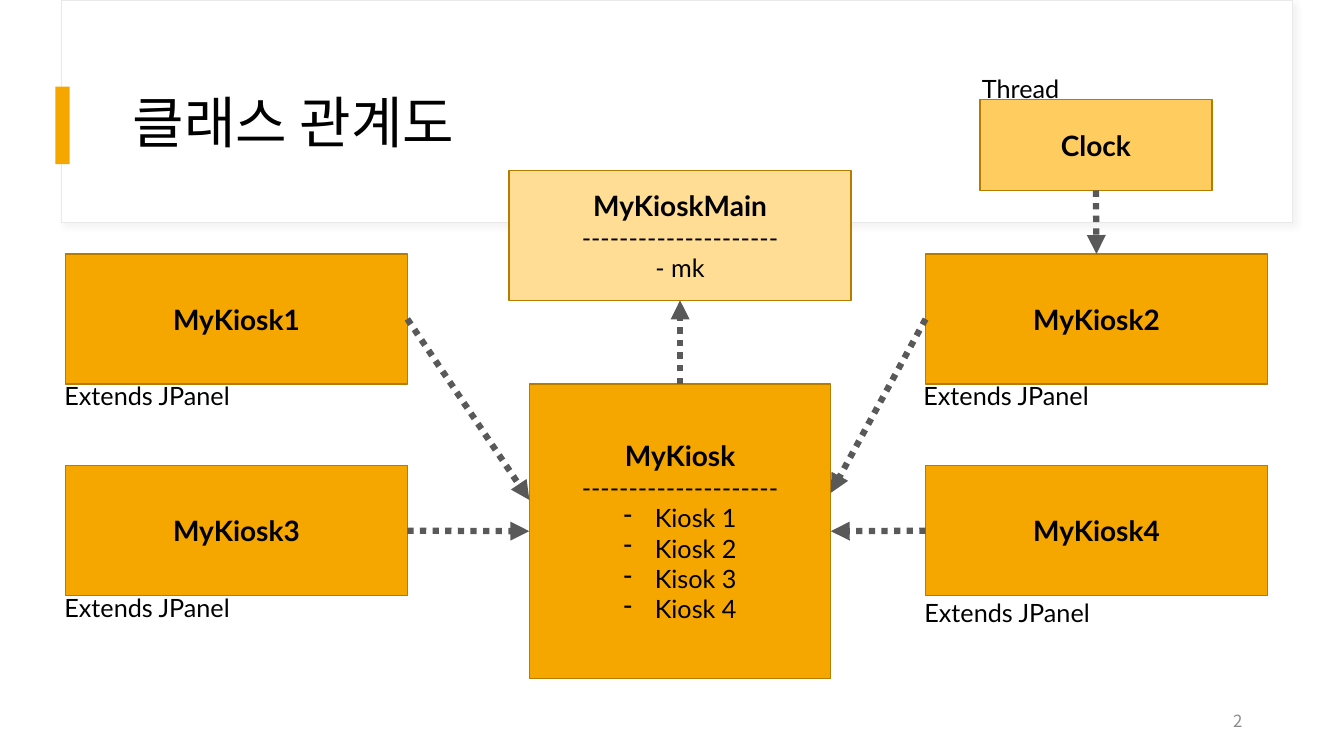
from lxml.etree import SubElement
from pptx import Presentation
from pptx.dml.color import RGBColor
from pptx.enum.dml import MSO_LINE
from pptx.enum.shapes import MSO_CONNECTOR, MSO_SHAPE
from pptx.enum.text import MSO_ANCHOR, MSO_AUTO_SIZE, PP_ALIGN
from pptx.oxml.ns import qn
from pptx.util import Inches, Pt

WHITE = RGBColor(0xFF, 0xFF, 0xFF)
BLACK = RGBColor(0x00, 0x00, 0x00)
PALE_GRAY = RGBColor(0xE9, 0xE9, 0xE9)
NUMBER_GRAY = RGBColor(0x8C, 0x8C, 0x8C)
ARROW_GRAY = RGBColor(0x59, 0x59, 0x59)
ORANGE = RGBColor(0xF5, 0xA7, 0x00)
LIGHT_ORANGE = RGBColor(0xFF, 0xCC, 0x60)
CREAM = RGBColor(0xFF, 0xDD, 0x95)
BROWN = RGBColor(0xB5, 0x7C, 0x00)

LATIN = "Lato"
KOREAN = "Noto Sans CJK KR"
TOP, LEFT, BOTTOM, RIGHT = range(4)
DIVIDER = "-" * 21


def write(paragraph, text, size=18, font=LATIN, color=BLACK, bold=False,
          align=PP_ALIGN.LEFT, bullet=None, line_spacing=None):
    paragraph.alignment = align
    if line_spacing:
        paragraph.line_spacing = line_spacing
    if bullet:
        properties = paragraph._p.get_or_add_pPr()
        properties.set("marL", str(Inches(0.31)))
        properties.set("indent", str(Inches(-0.31)))
        SubElement(properties, qn("a:buFontTx"))
        SubElement(properties, qn("a:buChar"), char=bullet)
    run = paragraph.add_run()
    run.text = text
    run.font.size = Pt(size)
    run.font.bold = bold
    run.font.color.rgb = color
    run.font.name = font
    SubElement(run._r.get_or_add_rPr(), qn("a:ea"), typeface=font)


class ClassDiagram:
    def __init__(self, slide):
        self.shapes = slide.shapes

    def panel(self, left, top, width, height, fill, line=None, line_width=1):
        panel = self.shapes.add_shape(
            MSO_SHAPE.RECTANGLE, Inches(left), Inches(top), Inches(width), Inches(height))
        panel.shadow.inherit = False
        panel.fill.solid()
        panel.fill.fore_color.rgb = fill
        if line is None:
            panel.line.fill.background()
        else:
            panel.line.color.rgb = line
            panel.line.width = Pt(line_width)
        return panel

    def header(self):
        header = self.panel(0.61, 0, 12.21, 2.21, WHITE, PALE_GRAY, 0.75)
        effects = header._element.spPr.find(qn("a:effectLst"))
        shadow = SubElement(effects, qn("a:outerShdw"), blurRad=str(Pt(4)),
                            dist=str(Pt(3)), dir="2700000", algn="tl", rotWithShape="0")
        color = SubElement(shadow, qn("a:srgbClr"), val="D9D9D9")
        SubElement(color, qn("a:alpha"), val="30000")
        self.panel(0.55, 0.86, 0.14, 0.77, ORANGE)

    def class_box(self, name, left, top, width=3.39, height=1.29, fill=ORANGE,
                  members=(), bullet=None):
        box = self.panel(left, top, width, height, fill, BROWN)
        frame = box.text_frame
        frame.word_wrap = True
        frame.vertical_anchor = MSO_ANCHOR.MIDDLE
        write(frame.paragraphs[0], name, size=20, bold=True, align=PP_ALIGN.CENTER)
        if members:
            write(frame.add_paragraph(), DIVIDER, align=PP_ALIGN.CENTER)
        for member in members:
            write(frame.add_paragraph(), member, align=PP_ALIGN.CENTER, bullet=bullet)
        return box

    def label(self, text, left, top, width=2.55, height=0.4,
              anchor=MSO_ANCHOR.TOP, grow=False, **text_format):
        label = self.shapes.add_textbox(
            Inches(left), Inches(top), Inches(width), Inches(height))
        frame = label.text_frame
        frame.word_wrap = True
        frame.vertical_anchor = anchor
        if grow:
            frame.auto_size = MSO_AUTO_SIZE.SHAPE_TO_FIT_TEXT
        write(frame.paragraphs[0], text, **text_format)

    def arrow(self, source, source_side, target, target_side=None):
        end = (0, 0) if target_side is not None else [Inches(value) for value in target]
        arrow = self.shapes.add_connector(MSO_CONNECTOR.STRAIGHT, 0, 0, *end)
        arrow.begin_connect(source, source_side)
        if target_side is not None:
            arrow.end_connect(target, target_side)
        arrow.line.color.rgb = ARROW_GRAY
        arrow.line.width = Pt(4.5)
        arrow.line.dash_style = MSO_LINE.ROUND_DOT
        SubElement(arrow.line._get_or_add_ln(), qn("a:tailEnd"), type="triangle")
        SubElement(arrow._element.spPr, qn("a:effectLst"))


def main():
    deck = Presentation()
    deck.slide_width, deck.slide_height = Inches(13.33), Inches(7.5)
    diagram = ClassDiagram(deck.slides.add_slide(deck.slide_layouts[6]))

    diagram.header()
    diagram.label("클래스 관계도", 1.22, 0.6, 11.12, 1.29, MSO_ANCHOR.MIDDLE,
                  size=40, font=KOREAN, line_spacing=0.9)
    diagram.label("2", 9.42, 6.95, 3, 0.4, MSO_ANCHOR.MIDDLE,
                  size=12, font=KOREAN, color=NUMBER_GRAY, align=PP_ALIGN.RIGHT)

    hub = diagram.class_box("MyKiosk", 5.25, 3.81, 2.99, 2.92, bullet="-",
                            members=("Kiosk 1", "Kiosk 2", "Kisok 3", "Kiosk 4"))
    entry = diagram.class_box("MyKioskMain", 5.05, 1.69, fill=CREAM, members=("- mk",))
    kiosk1, kiosk2, kiosk3, kiosk4 = [
        diagram.class_box(f"MyKiosk{2 * row + column + 1}", left, top)
        for row, top in enumerate((2.52, 4.62))
        for column, left in enumerate((0.65, 9.18))]
    clock = diagram.class_box("Clock", 9.72, 0.99, 2.3, 0.9, LIGHT_ORANGE)

    diagram.arrow(kiosk1, RIGHT, (5.25, 4.96))
    diagram.arrow(kiosk2, LEFT, (8.24, 4.89))
    diagram.arrow(kiosk3, RIGHT, hub, LEFT)
    diagram.arrow(kiosk4, LEFT, hub, RIGHT)
    diagram.arrow(hub, TOP, entry, BOTTOM)
    diagram.arrow(clock, BOTTOM, kiosk2, TOP)

    for left, top in ((0.54, 3.72), (0.54, 5.83), (9.06, 3.72), (9.07, 5.88)):
        diagram.label("Extends JPanel", left, top, grow=True)
    diagram.label("Thread", 9.64, 0.68, grow=True)

    deck.save("out.pptx")


if __name__ == "__main__":
    main()
